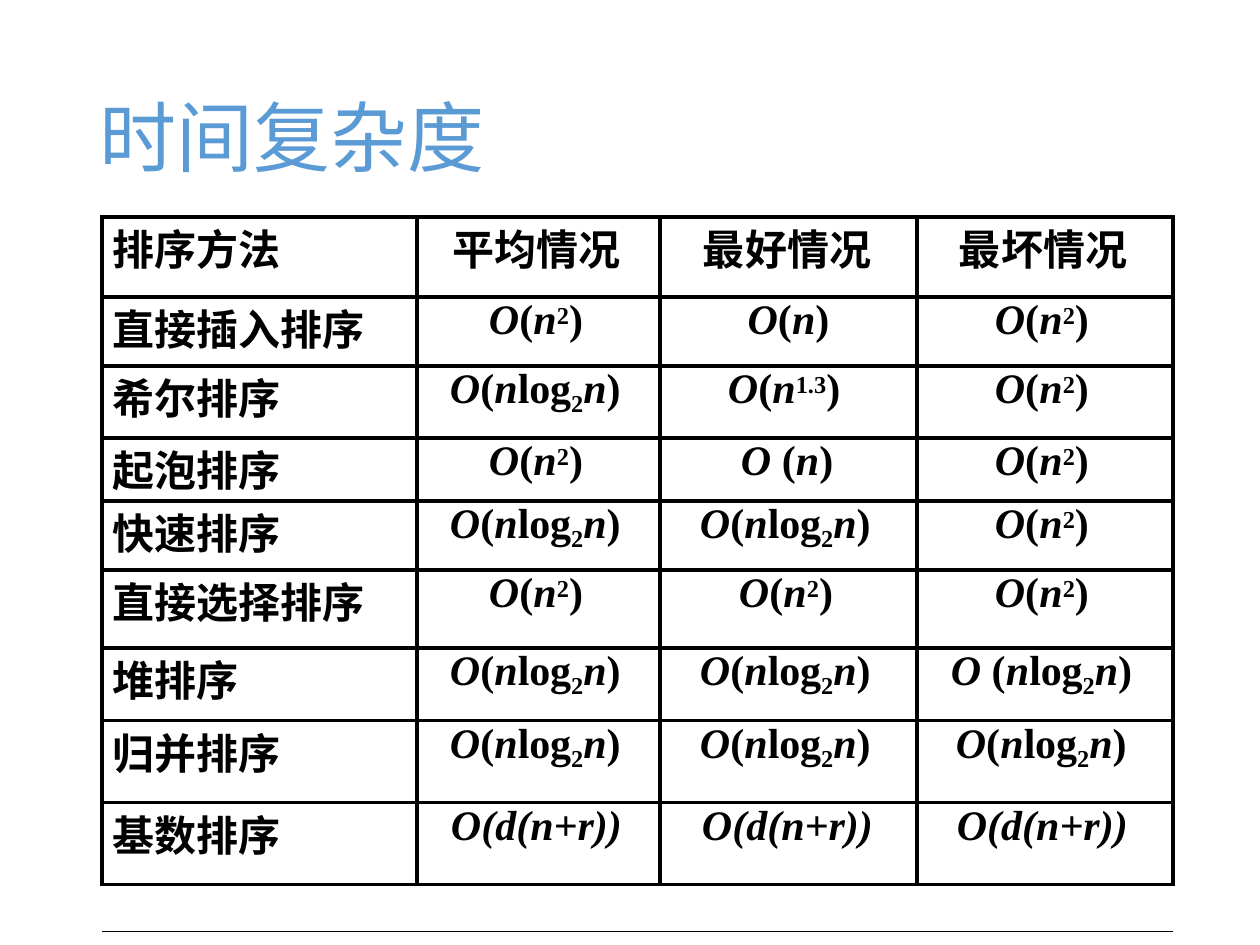
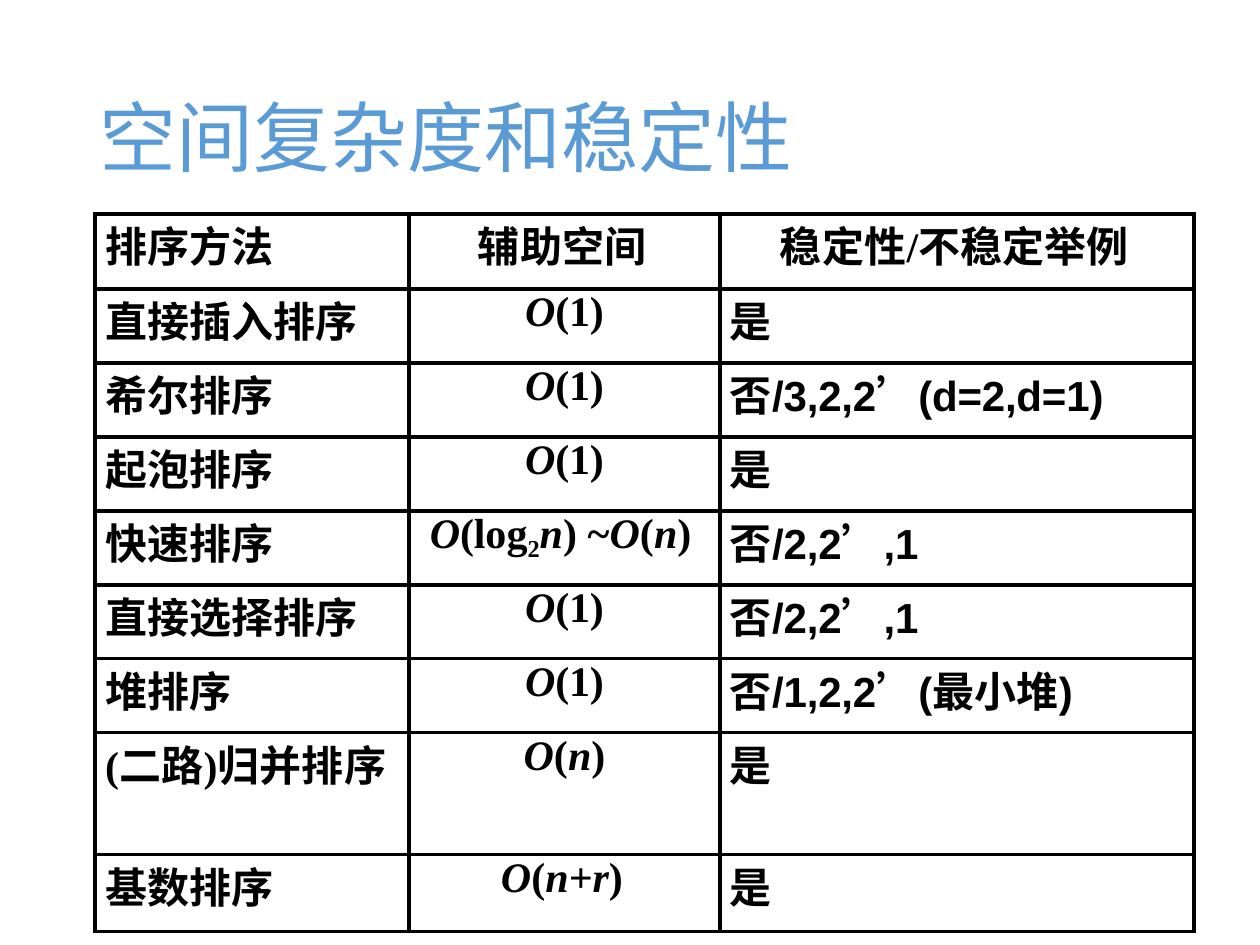
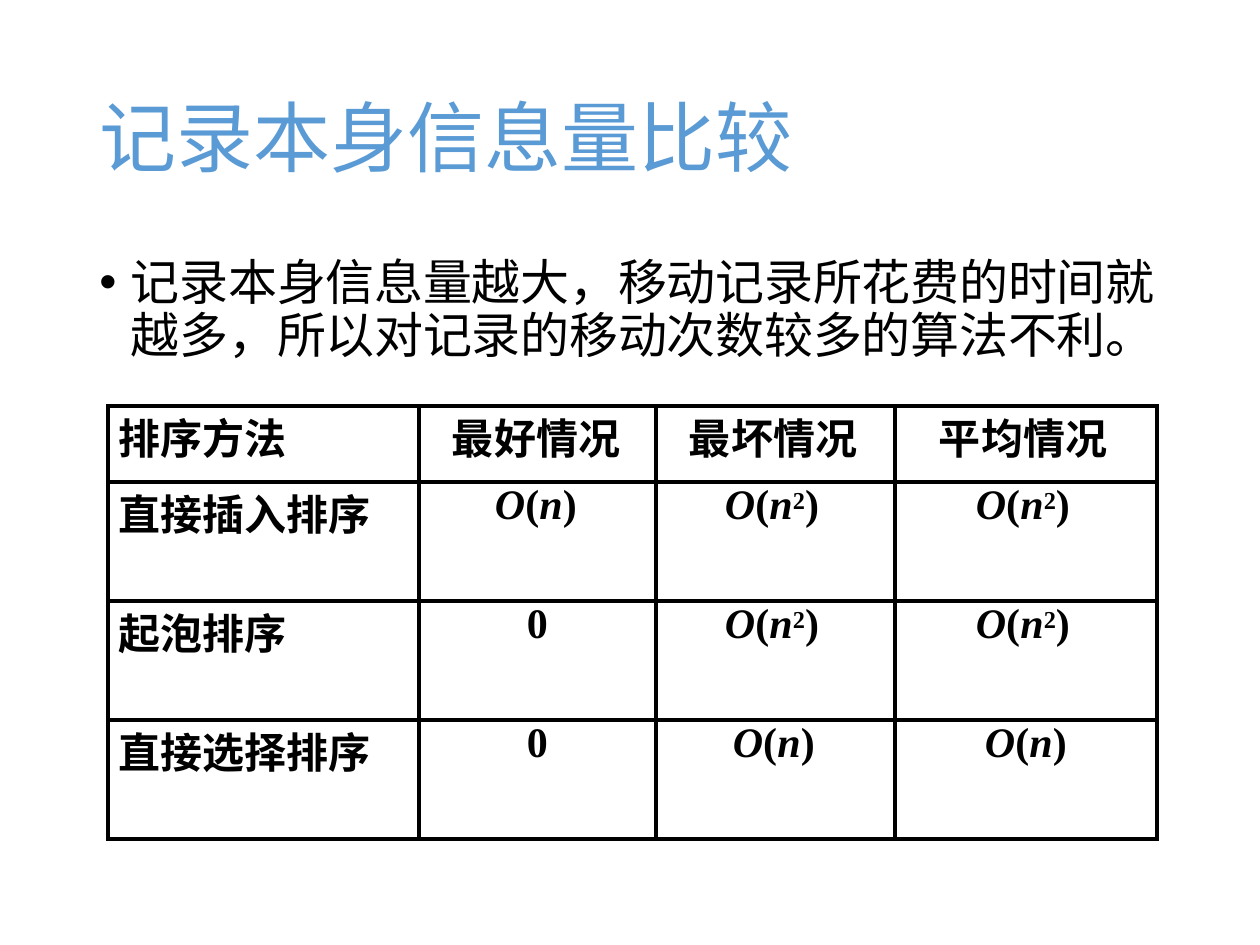
from lxml import etree
from pptx import Presentation
from pptx import util as u
from pptx.dml.color import RGBColor
from pptx.enum import text
from pptx.oxml import ns

PX = 914400 / 126
COLORS = {"title": "5B9BD5", "ink": "000000"}
CJK, SERIF, SANS, HEAD = "Noto Sans CJK SC", "Times New Roman", "Arial", "Calibri"
SPACING = {"(": 10, "~": 10, "n": -10, "n+": -10, "log": -10, "(lo": -10, "(1)": -10}

# Cell notation: "|" parts runs; "*" is italic, "^" raised, "_" lowered, "@" sans.
CONST = "*O|(1)"
LINEAR = "*O|(|*n|)"
SPACED = "*O |(|*n|)"
SQUARE = "*O|(|*n|^2|)"
SHELL = "*O|(|*n|^1.3|)"
NLOG = "*O|(|*n|log|_2|*n|)"
NLOG_SPACED = "*O |(|*n|log|_2|*n|)"
RADIX = "*O(d(n+r))"
QUICK_SPACE = "*O|(lo|g|_2|*n|) |~|*O|(|*n|)"
RADIX_SPACE = "*O|(|*n+|*r|)"


def px(n):
    return u.Emu(round(n * PX))


def add_run(p, words, size=24, font=SERIF, color="ink", bold=False, italic=False,
            spacing=0, baseline=0):
    r = p.add_run()
    r.text = words
    f = r.font
    f.size, f.name, f.bold, f.italic = u.Pt(size), font, bold, italic
    f.color.rgb = RGBColor.from_string(COLORS[color])
    rPr = r._r.get_or_add_rPr()
    rPr.set("spc", str(spacing))
    if baseline:
        rPr.set("baseline", str(baseline))
    etree.SubElement(rPr, ns.qn("a:ea")).set("typeface", CJK)


def add_pieces(p, notation):
    for piece in notation.split("|"):
        mark, words = (piece[0], piece[1:]) if piece[0] in "*^_@" else ("", piece)
        cjk = ord(words[0]) > 0x2E80
        font = CJK if cjk else SANS if mark == "@" else SERIF
        spacing = 10 if cjk else -10 if mark == "@" else SPACING.get(words, 0)
        add_run(p, words, font=font, bold=True, italic=mark == "*", spacing=spacing,
                baseline={"^": 24000, "_": -21000}.get(mark, 0))


def set_borders(cell, left, right, top, bottom):
    tcPr = cell._tc.get_or_add_tcPr()
    sides = zip(("lnL", "lnR", "lnT", "lnB"), (left, right, top, bottom))
    for i, (tag, width) in enumerate(sides):
        ln = etree.Element(ns.qn("a:" + tag), w=str(u.Pt(width)))
        if width:
            fill = etree.SubElement(ln, ns.qn("a:solidFill"))
            etree.SubElement(fill, ns.qn("a:srgbClr")).set("val", COLORS["ink"])
        else:
            etree.SubElement(ln, ns.qn("a:noFill"))
        tcPr.insert(i, ln)


class Deck:
    def __init__(self):
        self.prs = Presentation()
        self.prs.slide_width, self.prs.slide_height = u.Inches(10), u.Inches(7.5)

    def slide(self, title):
        self.s = self.prs.slides.add_slide(self.prs.slide_layouts[5])
        sp = self.s.shapes.title
        sp.left, sp.top, sp.width, sp.height = map(px, (87, 50, 1086, 183))
        tf = sp.text_frame
        tf.auto_size = text.MSO_AUTO_SIZE.NONE
        tf.vertical_anchor = text.MSO_ANCHOR.MIDDLE
        p = tf.paragraphs[0]
        p.alignment, p.line_spacing = text.PP_ALIGN.LEFT, 0.9
        add_run(p, title, size=44, font=HEAD, color="title")

    def bullet(self, words, x, y, w, h):
        tf = self.s.shapes.add_textbox(px(x), px(y), px(w), px(h)).text_frame
        tf.word_wrap = True
        p = tf.paragraphs[0]
        p.line_spacing, p.space_before = 0.9, u.Pt(10)
        pPr = p._p.get_or_add_pPr()
        pPr.set("marL", str(u.Inches(0.25)))
        pPr.set("indent", str(-u.Inches(0.25)))
        etree.SubElement(pPr, ns.qn("a:buFont")).set("typeface", SANS)
        etree.SubElement(pPr, ns.qn("a:buChar")).set("char", "•")
        add_run(p, words, size=28, font=CJK, spacing=-10)

    def table(self, x, y, cols, heights, rows, indents, left_cols=(0,), stub=False):
        tbl = self.s.shapes.add_table(len(heights), len(cols), px(x), px(y),
                                      px(sum(cols)), px(sum(heights))).table
        tbl.first_row = tbl.horz_banding = False
        for col, w in zip(tbl.columns, cols):
            col.width = px(w)
        for row, h in zip(tbl.rows, heights):
            row.height = px(h)
        for cell in tbl.iter_cells():
            cell.margin_left = cell.margin_right = 0
            cell.margin_top = cell.margin_bottom = 0
            cell.fill.background()
        for i, row in enumerate(rows):
            for j, notation in enumerate(row):
                cell = tbl.cell(i, j)
                set_borders(cell, 2.25, 2.25, 2.25, 2.25)
                p = cell.text_frame.paragraphs[0]
                add_pieces(p, notation)
                left = j in left_cols and (i > 0 or j == 0)
                indent = 10 if left else indents.get(notation, {}).get(j)
                if indent is None:
                    p.alignment = text.PP_ALIGN.CENTER
                else:
                    p._p.get_or_add_pPr().set("marL", str(px(indent)))
        if stub:
            for j in range(len(cols)):
                set_borders(tbl.cell(len(rows), j), 0, 0, 2.25, 0.75)


def main():
    d = Deck()

    d.slide("时间复杂度")
    d.table(102, 217, (315, 243, 257, 256),
            (80, 69, 72, 63, 69, 78, 73, 82, 82, 47),
            [("排序方法", "平均情况", "最好情况", "最坏情况"),
             ("直接插入排序", SQUARE, LINEAR, SQUARE),
             ("希尔排序", NLOG, SHELL, SQUARE),
             ("起泡排序", SQUARE, SPACED, SQUARE),
             ("快速排序", NLOG, NLOG, SQUARE),
             ("直接选择排序", SQUARE, SQUARE, SQUARE),
             ("堆排序", NLOG, NLOG, NLOG_SPACED),
             ("归并排序", NLOG, NLOG, NLOG),
             ("基数排序", RADIX, RADIX, RADIX)],
            {"平均情况": {1: 35}, "最好情况": {2: 43}, "最坏情况": {3: 42},
             SQUARE: {1: 72, 2: 79, 3: 78}, NLOG: {1: 33, 2: 40, 3: 39},
             RADIX: {1: 34, 2: 42, 3: 40}, SHELL: {2: 68}, SPACED: {2: 81},
             NLOG_SPACED: {3: 34}}, stub=True)

    d.slide("空间复杂度和稳定性")
    d.table(95, 214, (314, 311, 474), (75, *[74] * 6, 122, 77, 8),
            [("排序方法", "辅助空间", "稳定性|/|不稳定举例"),
             ("直接插入排序", CONST, "是"),
             ("希尔排序", CONST, "否|@/3,2,2’(d=2,d=1)"),
             ("起泡排序", CONST, "是"),
             ("快速排序", QUICK_SPACE, "否|@/2,2’,1"),
             ("直接选择排序", CONST, "否|@/2,2’,1"),
             ("堆排序", CONST, "否|@/1,2,2’|@(|最小堆|@)"),
             ("(|二路|)|归并排序", LINEAR, "是"),
             ("基数排序", RADIX_SPACE, "是")],
            {"辅助空间": {1: 69}, "稳定性|/|不稳定举例": {2: 60},
             QUICK_SPACE: {1: 21}, RADIX_SPACE: {1: 92}},
            left_cols=(0, 2), stub=True)

    d.slide("记录本身信息量比较")
    d.bullet("记录本身信息量越大，移动记录所花费的时间就越多，所以对记录的移动次数较多的算法不利。",
             87, 252, 1086, 600)
    d.table(108, 406, (311, 237, 239, 262), (76, *[119] * 3),
            [("排序方法", "最好情况", "最坏情况", "平均情况"),
             ("直接插入排序", LINEAR, SQUARE, SQUARE),
             ("起泡排序", "0", SQUARE, SQUARE),
             ("直接选择排序", "0", LINEAR, LINEAR)],
            {"最好情况": {1: 33}, "最坏情况": {2: 33}, "平均情况": {3: 44},
             SQUARE: {2: 69, 3: 81}, LINEAR: {1: 76, 2: 77}})

    d.prs.save("out.pptx")


if __name__ == "__main__":
    main()
